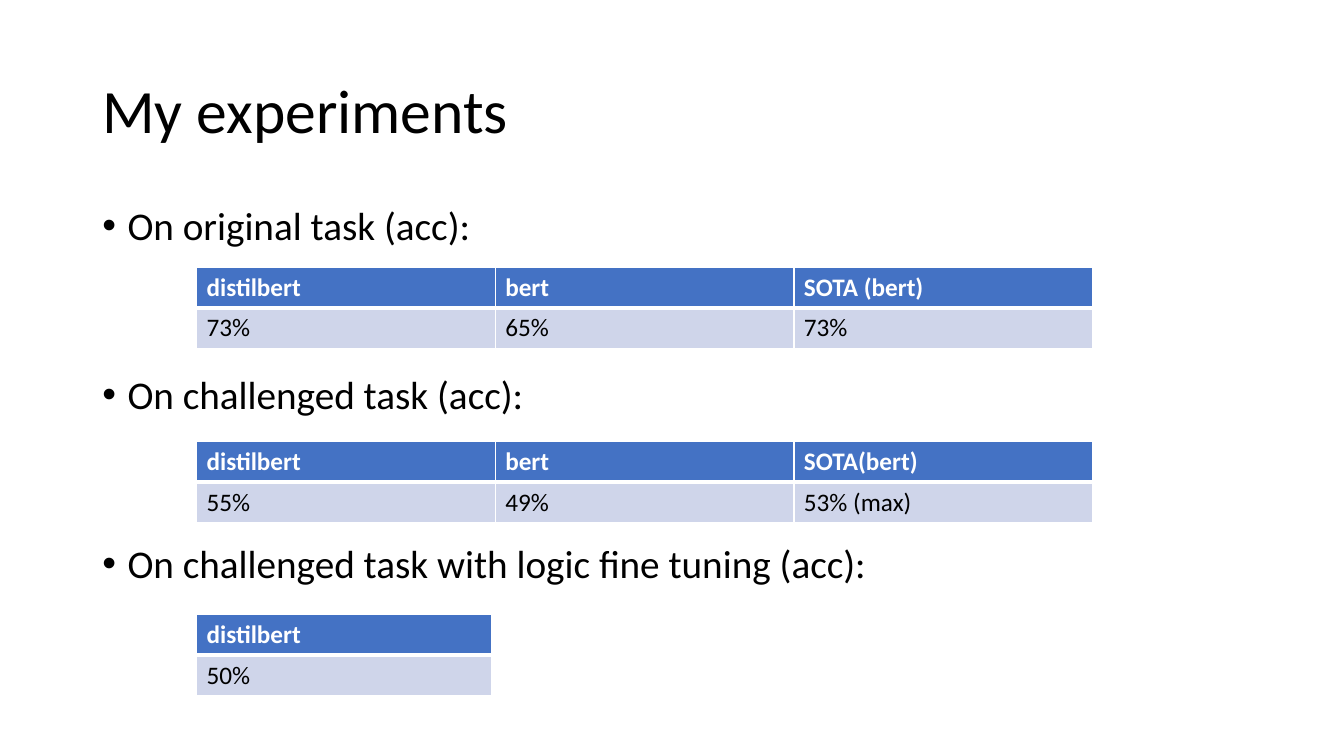
from lxml import etree
from pptx import Presentation
from pptx.dml.color import RGBColor
from pptx.enum.text import MSO_ANCHOR
from pptx.oxml.ns import qn
from pptx.util import Inches, Pt

MIDDLE, TOP = MSO_ANCHOR.MIDDLE, MSO_ANCHOR.TOP
COLUMNS, ROWS = 160, 90
SLIDE_WIDTH, SLIDE_HEIGHT = Inches(13.333), Inches(7.5)
FONT = "Calibri"
COLORS = {"text": "000000", "header": "4472C4", "band": "CFD5EA", "white": "FFFFFF"}

TITLE_FORMAT = {"size": Pt(44), "name": FONT}
BODY_FORMAT = {"size": Pt(28), "name": FONT}
HEADER_FORMAT = {"size": Pt(18), "name": FONT, "bold": True}
VALUE_FORMAT = {"size": Pt(18), "name": FONT, "bold": False}

TABLE_LEFT = 23.4
EXPERIMENTS = [
    ("On original task (acc):", 31.8, 35.56, 4.86,
     [["distilbert", "bert", "SOTA (bert)"], ["73%", "65%", "73%"]]),
    ("On challenged task (acc):", 52.56, 35.56, 4.86,
     [["distilbert", "bert", "SOTA(bert)"], ["55%", "49%", "53% (max)"]]),
    ("On challenged task with logic fine tuning (acc):", 73.2, 35.16, 4.8,
     [["distilbert"], ["50%"]]),
]


def across(columns):
    return round(SLIDE_WIDTH * columns / COLUMNS)


def down(rows):
    return round(SLIDE_HEIGHT * rows / ROWS)


def write(para, text, format_values, color):
    span = para.add_run()
    span.text = text
    for name, value in format_values.items():
        setattr(span.font, name, value)
    span.font.color.rgb = RGBColor.from_string(COLORS[color])


def add_box(page, top, height, anchor):
    box = page.shapes.add_textbox(across(11), down(top), across(138), down(height))
    frame = box.text_frame
    frame.word_wrap = True
    frame.vertical_anchor = anchor
    return frame


def add_title(page, text):
    para = add_box(page, 4.8, 17.4, MIDDLE).paragraphs[0]
    para.line_spacing = 0.9
    write(para, text, TITLE_FORMAT, "text")


def add_bullets(page, texts):
    frame = add_box(page, 24, 57.12, TOP)
    for index, text in enumerate(texts):
        para = frame.add_paragraph() if index else frame.paragraphs[0]
        para.line_spacing = 0.9
        para.space_before = Pt(90.5 if index else 10)
        properties = para._p.get_or_add_pPr()
        properties.set("marL", str(Inches(0.25)))
        properties.set("indent", str(-Inches(0.25)))
        etree.SubElement(properties, qn("a:buFont")).set("typeface", "Arial")
        etree.SubElement(properties, qn("a:buChar")).set("char", "•")
        write(para, text, BODY_FORMAT, "text")


def add_borders(cell, widths):
    properties = cell._tc.get_or_add_tcPr()
    for side, width in widths.items():
        line = etree.SubElement(properties, qn(f"a:ln{side}"), w=str(Pt(width)))
        fill = etree.SubElement(line, qn("a:solidFill"))
        etree.SubElement(fill, qn("a:srgbClr"), val=COLORS["white"])


def add_results(page, top, column_width, row_height, values):
    row_styles = [
        ("header", HEADER_FORMAT, "white", {"L": 1, "R": 1, "T": 1, "B": 3}),
        ("band", VALUE_FORMAT, "text", {"L": 1, "R": 1, "T": 3, "B": 1}),
    ]
    count = len(values[0])
    table = page.shapes.add_table(
        len(values), count, across(TABLE_LEFT), down(top),
        across(column_width * count), down(row_height * len(values))).table
    for column in table.columns:
        column.width = across(column_width)
    for row, texts, style in zip(table.rows, values, row_styles):
        fill, format_values, color, borders = style
        row.height = down(row_height)
        for cell, text in zip(row.cells, texts):
            add_borders(cell, borders)
            cell.fill.solid()
            cell.fill.fore_color.rgb = RGBColor.from_string(COLORS[fill])
            write(cell.text_frame.paragraphs[0], text, format_values, color)


def main():
    deck = Presentation()
    deck.slide_width, deck.slide_height = SLIDE_WIDTH, SLIDE_HEIGHT
    page = deck.slides.add_slide(deck.slide_layouts[6])
    add_title(page, "My experiments")
    add_bullets(page, [experiment[0] for experiment in EXPERIMENTS])
    for _, top, column_width, row_height, values in EXPERIMENTS:
        add_results(page, top, column_width, row_height, values)
    deck.save("out.pptx")


if __name__ == "__main__":
    main()
